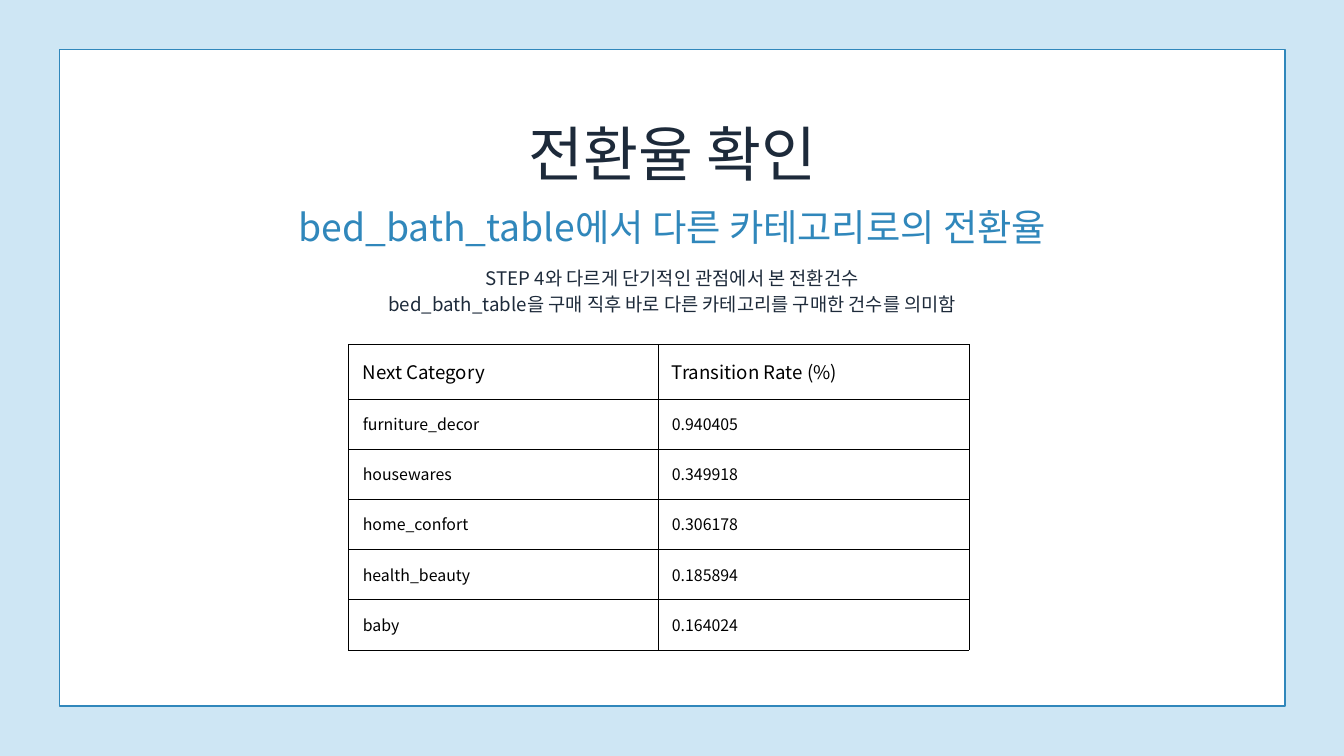
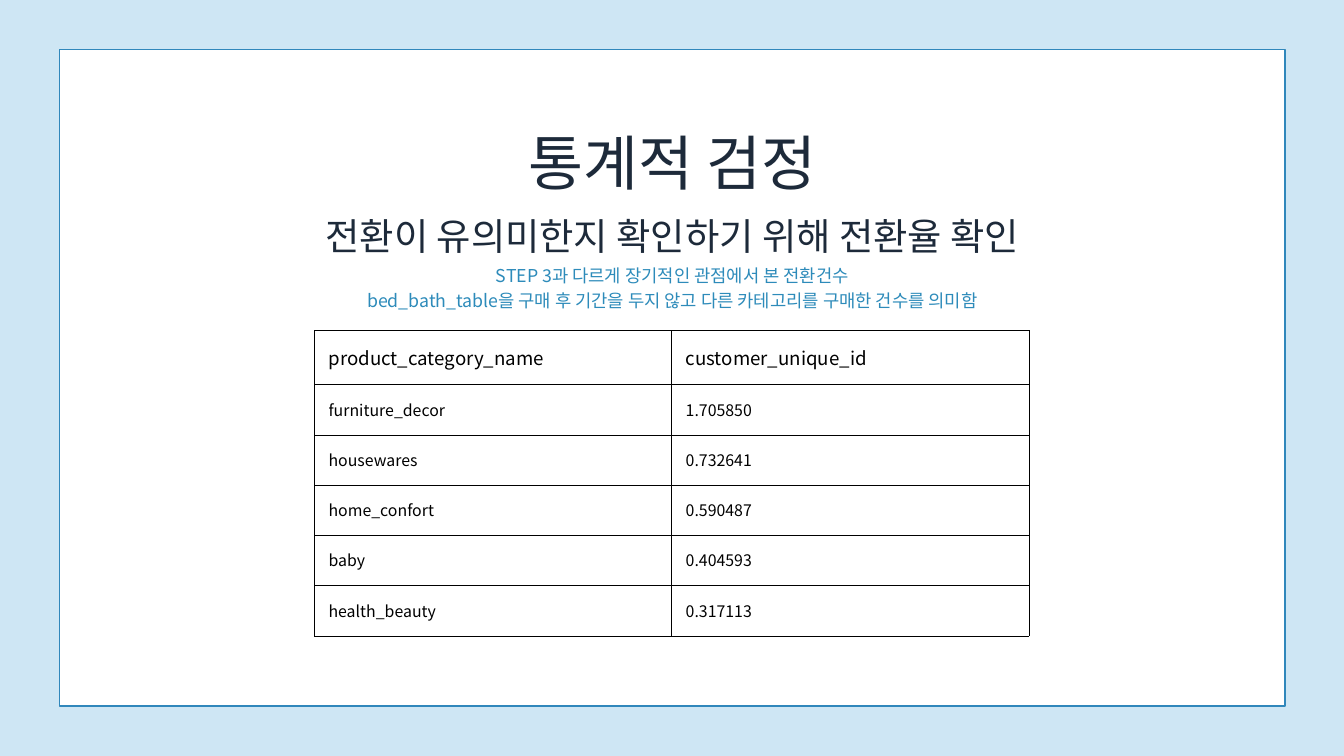
import pptx
import pptx.dml.color
import pptx.enum.shapes
import pptx.enum.text
import pptx.oxml
import pptx.oxml.ns
import pptx.util

Pt = pptx.util.Pt
FONT = "Noto Sans CJK KR"
COLORS = {"sky": "CEE6F4", "white": "FFFFFF", "blue": "3087BB",
          "azure": "2D8BBA", "navy": "1D2A3A", "black": "000000"}
LEADING = 1.4  # line height as a multiple of the text size
PANEL = (64.1, 53.3, 1312.6, 703.4)

# Tops and table offsets are measured from the panel's corner
SLIDES = [
    {"texts": [
        (59, 576.7, 85.7, 64, "navy", ["전환율 확인"]),
        (157.7, 820, 54, 40, "blue", ["bed_bath_table에서 다른 카테고리로의 전환율"]),
        (228.2, 622.8, 55.4, 20, "navy", [
            "STEP 4와 다르게 단기적인 관점에서 본 전환건수",
            "bed_bath_table을 구매 직후 바로 다른 카테고리를 구매한 건수를 의미함"])],
     "table_at": (309.6, 316.1), "cols": (331.2, 333.4), "heights": (56.2, 52.7),
     "rows": [("Next Category", "Transition Rate (%)"),
              ("furniture_decor", "0.940405"),
              ("housewares", "0.349918"),
              ("home_confort", "0.306178"),
              ("health_beauty", "0.185894"),
              ("baby", "0.164024")]},
    {"texts": [
        (68.4, 576.7, 85.7, 64, "navy", ["통계적 검정"]),
        (167, 770.4, 54, 40, "navy", ["전환이 유의미한지 확인하기 위해 전환율 확인"]),
        (226.8, 673.9, 52.6, 19, "azure", [
            "STEP 3과 다르게 장기적인 관점에서 본 전환건수",
            "bed_bath_table을 구매 후 기간을 두지 않고 다른 카테고리를 구매한 건수를 의미함"])],
     "table_at": (272.9, 300.9), "cols": (382.7, 382.7), "heights": (57.6, 53.4),
     "rows": [("product_category_name", "customer_unique_id"),
              ("furniture_decor", "1.705850"),
              ("housewares", "0.732641"),
              ("home_confort", "0.590487"),
              ("baby", "0.404593"),
              ("health_beauty", "0.317113")]},
]


def rgb(name):
    return pptx.dml.color.RGBColor.from_string(COLORS[name])


def set_all(obj, values):
    for name, value in values.items():
        setattr(obj, name, value)


def write(p, text, size, color, align):
    set_all(p, {"alignment": align, "line_spacing": Pt(size * LEADING)})
    r = p.add_run()
    r.text = text
    set_all(r.font, {"size": Pt(size), "name": FONT})
    r.font.color.rgb = rgb(color)
    # Hangul takes the East Asian typeface
    ea = pptx.oxml.parse_xml(
        f'<a:ea {pptx.oxml.ns.nsdecls("a")} typeface="{FONT}"/>')
    r.font._element.append(ea)


def add_panel(s, box):
    s.background.fill.solid()
    s.background.fill.fore_color.rgb = rgb("sky")
    sp = s.shapes.add_shape(pptx.enum.shapes.MSO_SHAPE.RECTANGLE, *map(Pt, box))
    sp.shadow.inherit = False
    sp.fill.solid()
    sp.fill.fore_color.rgb = rgb("white")
    sp.line.color.rgb = rgb("blue")
    sp.line.width = Pt(1.5)


def add_text(s, box, dy, w, h, size, color, lines):
    """Place a text block centred across the box."""
    x, y, box_w, _ = box
    sp = s.shapes.add_textbox(Pt(x + (box_w - w) / 2), Pt(y + dy), Pt(w), Pt(h))
    tf = sp.text_frame
    set_all(tf, {"word_wrap": True, "margin_left": 0, "margin_right": 0,
                 "margin_top": 0, "margin_bottom": 0,
                 "auto_size": pptx.enum.text.MSO_AUTO_SIZE.SHAPE_TO_FIT_TEXT})
    for i, line in enumerate(lines):
        p = tf.add_paragraph() if i else tf.paragraphs[0]
        write(p, line, size, color, pptx.enum.text.PP_ALIGN.CENTER)


def add_borders(cell):
    tc_pr = cell._tc.get_or_add_tcPr()
    for side in ("lnL", "lnR", "lnT", "lnB"):
        tc_pr.append(pptx.oxml.parse_xml(
            f'<a:{side} {pptx.oxml.ns.nsdecls("a")} w="{Pt(0.75)}"><a:solidFill>'
            f'<a:srgbClr val="{COLORS["black"]}"/></a:solidFill></a:{side}>'))


def add_rate_table(s, box, at, cols, heights, rows):
    head_h, body_h = heights
    row_hs = [head_h] + [body_h] * (len(rows) - 1)
    frame = s.shapes.add_table(len(rows), len(cols), Pt(box[0] + at[0]),
                               Pt(box[1] + at[1]), Pt(sum(cols)), Pt(sum(row_hs)))
    table = frame.table
    set_all(table, {"first_row": False, "horz_banding": False})
    for col, w in zip(table.columns, cols):
        col.width = Pt(w)
    for i, (row, h, values) in enumerate(zip(table.rows, row_hs, rows)):
        row.height = Pt(h)
        for cell, value in zip(row.cells, values):
            set_all(cell, {"margin_left": Pt(15), "margin_right": Pt(15),
                           "margin_top": Pt(15), "margin_bottom": Pt(15),
                           "vertical_anchor": pptx.enum.text.MSO_ANCHOR.MIDDLE})
            add_borders(cell)
            cell.fill.background()
            write(cell.text_frame.paragraphs[0], value, 17 if i else 20,
                  "black", pptx.enum.text.PP_ALIGN.LEFT)


def add_rate_slide(prs, box, content):
    s = prs.slides.add_slide(prs.slide_layouts[6])
    add_panel(s, box)
    add_rate_table(s, box, content["table_at"], content["cols"],
                   content["heights"], content["rows"])
    for text in content["texts"]:
        add_text(s, box, *text)


def main():
    prs = pptx.Presentation()
    set_all(prs, {"slide_width": Pt(1440), "slide_height": Pt(810)})
    for content in SLIDES:
        add_rate_slide(prs, PANEL, content)
    prs.save("out.pptx")


if __name__ == "__main__":
    main()
